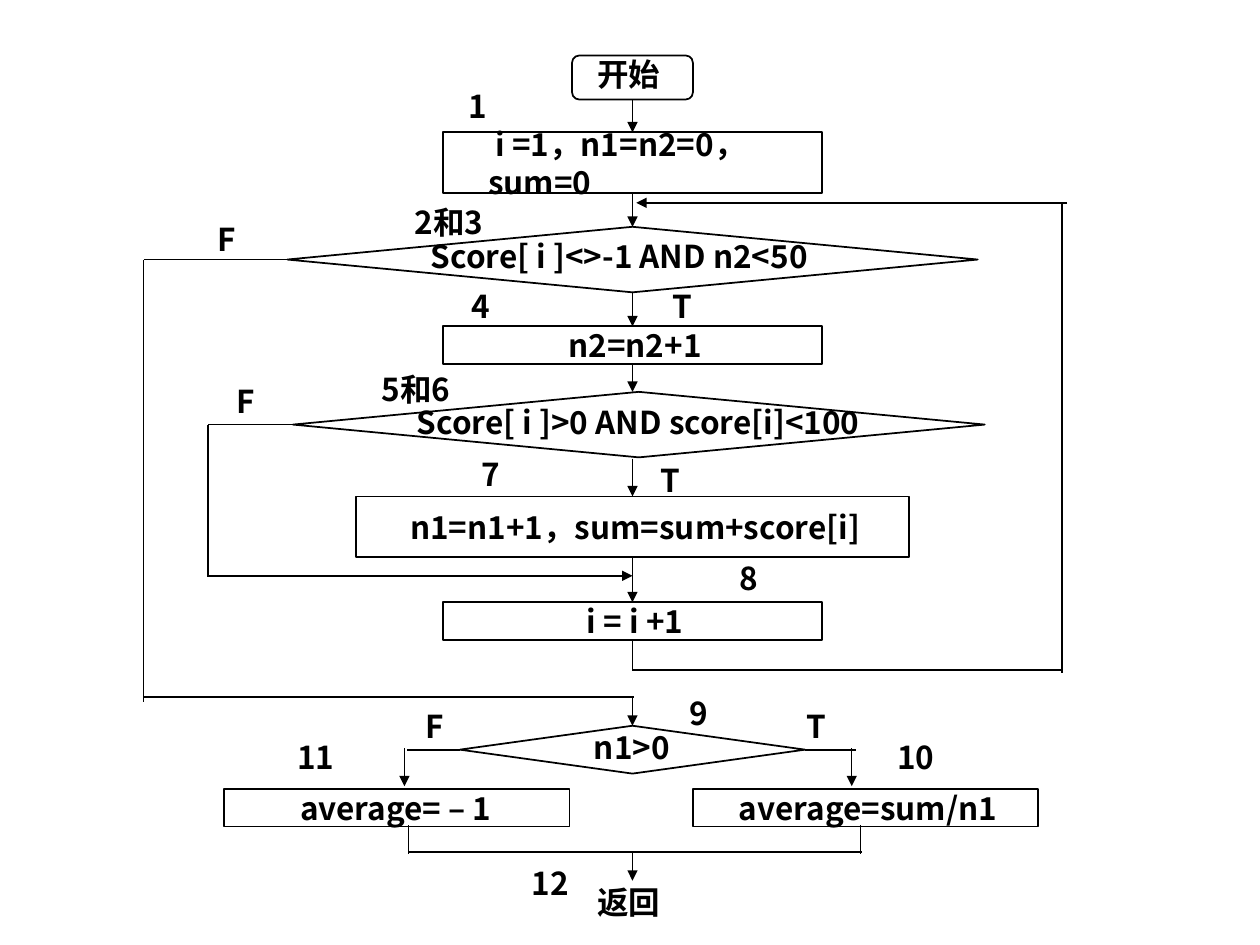
from lxml import etree
from pptx import Presentation
from pptx.dml.color import RGBColor
from pptx.enum.shapes import MSO_CONNECTOR, MSO_SHAPE
from pptx.enum.text import MSO_ANCHOR, PP_ALIGN
from pptx.oxml.ns import qn
from pptx.util import Inches, Pt

RECT, DECISION = MSO_SHAPE.RECTANGLE, MSO_SHAPE.FLOWCHART_DECISION
TERMINAL = MSO_SHAPE.FLOWCHART_ALTERNATE_PROCESS
STRAIGHT = MSO_CONNECTOR.STRAIGHT
LEFT_AL, CENTER, JUSTIFY = PP_ALIGN.LEFT, PP_ALIGN.CENTER, PP_ALIGN.JUSTIFY
TOP_ANCHOR, MIDDLE = MSO_ANCHOR.TOP, MSO_ANCHOR.MIDDLE
TOP, LEFT, BOTTOM, RIGHT = range(4)

THEME = {
    "font": "Noto Sans CJK SC", "size": 18,
    "ink": RGBColor(0, 0, 0), "paper": RGBColor(255, 255, 255),
    "outline": 1, "thin": 0.75,
}

SPINE = 5.02           # x of the main flow
LOOP_X = 8.43          # return path of the loop
EXIT_X = 1.14          # path out of the loop
SKIP_X = 1.65          # path around the summing step
JOIN_Y = 6.76          # where both averages meet

# name: shape, centre x, top, width, height
NODES = {
    "start": (TERMINAL, SPINE, 0.44, 0.96, 0.35),
    "init": (RECT, SPINE, 1.05, 3.01, 0.48),
    "more scores": (DECISION, SPINE, 1.8, 5.48, 0.52),
    "count all": (RECT, SPINE, 2.59, 3.01, 0.3),
    "add score": (RECT, SPINE, 3.94, 4.39, 0.48),
    "valid score": (DECISION, 5.07, 3.11, 5.49, 0.52),
    "next": (RECT, SPINE, 4.78, 3.01, 0.3),
    "any valid": (DECISION, SPINE, 5.76, 2.74, 0.38),
    "average": (RECT, 6.87, 6.26, 2.74, 0.3),
    "no average": (RECT, 3.15, 6.26, 2.74, 0.3),
}

# name: text, alignment, anchor, left inset
NODE_TEXT = {
    "init": (" i =1，n1=n2=0，sum=0", LEFT_AL, MIDDLE, 0.36),
    "count all": ("n2=n2+1", CENTER, TOP_ANCHOR, 0.04),
    "add score": ("n1=n1+1，sum=sum+score[i]", CENTER, MIDDLE, 0.04),
    "next": ("i = i +1", CENTER, TOP_ANCHOR, 0.04),
    "average": ("average=sum/n1", CENTER, TOP_ANCHOR, 0.04),
    "no average": ("average= – 1 ", CENTER, TOP_ANCHOR, 0.04),
}

# text, left, top, width, height, alignment
CAPTIONS = [
    ("开始", 4.74, 0.44, 0.98, 0.27, JUSTIFY),
    ("Score[ i ]<>-1 AND n2<50", 3.42, 1.88, 4.05, 0.31, JUSTIFY),
    ("Score[ i ]>0 AND score[i]<100", 3.31, 3.2, 4.66, 0.24, JUSTIFY),
    ("n1>0", 4.33, 5.78, 1.37, 0.33, CENTER),
    ("返回", 4.74, 7.01, 0.98, 0.27, JUSTIFY),
    ("2和3", 3.29, 1.61, 1.17, 0.25, JUSTIFY),
    ("5和6", 3.03, 2.94, 0.77, 0.25, JUSTIFY),
]

# Branch letters and step numbers: text, left, top
MARKS = [
    ("F", 1.73, 1.75), ("F", 3.38, 5.61), ("F", 1.88, 3.03),
    ("T", 5.34, 2.28), ("T", 5.24, 3.66), ("T", 6.4, 5.61),
    ("1", 3.72, 0.69), ("4", 3.74, 2.28), ("7", 3.82, 3.61),
    ("8", 5.87, 4.44), ("9", 5.47, 5.51), ("10", 7.12, 5.86),
    ("11", 2.36, 5.86), ("12", 4.22, 6.86),
]
MARK_SIZE = (0.56, 0.27)

# An end is a point (x, y) or a node side (name, side)
THIN_ARROWS = [
    (("start", BOTTOM), ("init", TOP)),
    (("init", BOTTOM), ("more scores", TOP)),
    (("more scores", BOTTOM), ("count all", TOP)),
    (("count all", BOTTOM), (SPINE, 3.11)),
    ((SPINE, 3.64), ("add score", TOP)),
    (("add score", BOTTOM), ("next", TOP)),
    ((SPINE, 5.53), ("any valid", TOP)),
    ((3.21, 5.94), (3.21, 6.24)),
    ((6.76, 5.94), (6.76, 6.24)),
    ((SPINE, JOIN_Y), (SPINE, 6.99)),
]
THIN_LINES = [
    (("next", BOTTOM), (SPINE, 5.32)),
    ((3.24, 6.55), (3.24, 6.78)),
    ((6.83, 6.55), (6.83, 6.78)),
]
PATH_ARROWS = [
    ((8.47, 1.61), (5.05, 1.61)),
    ((SKIP_X, 4.57), (SPINE, 4.57)),
]
PATH_LINES = [
    ((SPINE, 5.32), (8.44, 5.32)),
    ((LOOP_X, 1.61), (LOOP_X, 5.34)),
    (("valid score", LEFT), (SKIP_X, 3.37)),
    ((SKIP_X, 3.37), (SKIP_X, 4.58)),
    (("more scores", LEFT), (EXIT_X, 2.06)),
    ((EXIT_X, 2.06), (EXIT_X, 5.57)),
    ((EXIT_X, 5.53), (5.03, 5.53)),
    (("any valid", LEFT), (3.23, 5.95)),
    (("any valid", RIGHT), (6.79, 5.95)),
    ((3.24, JOIN_Y), (6.84, JOIN_Y)),
]


def write(frame, text, align, anchor=TOP_ANCHOR, inset=0):
    frame.word_wrap = True
    frame.vertical_anchor = anchor
    frame.margin_left = Inches(inset)
    frame.margin_top = frame.margin_right = frame.margin_bottom = 0
    frame.text = text
    paragraph = frame.paragraphs[0]
    paragraph.alignment = align
    font = paragraph.runs[0].font
    font.name, font.size, font.bold = THEME["font"], Pt(THEME["size"]), True
    font.color.rgb = THEME["ink"]
    # East Asian typeface follows the Latin one
    latin = font._element.find(qn("a:latin"))
    east_asian = etree.Element(qn("a:ea"), typeface=THEME["font"])
    latin.addnext(east_asian)


def add_node(slide, kind, center, top, width, height):
    node = slide.shapes.add_shape(
        kind, *map(Inches, (center - width / 2, top, width, height)))
    node.shadow.inherit = False
    node.fill.solid()
    node.fill.fore_color.rgb = THEME["paper"]
    node.line.color.rgb = THEME["ink"]
    node.line.width = Pt(THEME["outline"])
    return node


def add_caption(slide, text, left, top, width, height, align):
    box = slide.shapes.add_textbox(*map(Inches, (left, top, width, height)))
    write(box.text_frame, text, align)


def add_flow(slide, nodes, begin, end, width, arrow):
    points = [(0, 0) if p[0] in nodes else p for p in (begin, end)]
    flow = slide.shapes.add_connector(
        STRAIGHT, *(Inches(v) for point in points for v in point))
    for (place, side), join in ((begin, flow.begin_connect),
                                (end, flow.end_connect)):
        if place in nodes:
            join(nodes[place], side)
    flow.line.color.rgb = THEME["ink"]
    flow.line.width = Pt(width)
    if arrow:
        etree.SubElement(flow.line._get_or_add_ln(), qn("a:tailEnd"),
                         type="triangle", w="med", len="med")
    etree.SubElement(flow._element.spPr, qn("a:effectLst"))


def main():
    prs = Presentation()
    prs.slide_width, prs.slide_height = Inches(10), Inches(7.5)
    slide = prs.slides.add_slide(prs.slide_layouts[6])

    # Steps and decisions
    nodes = {name: add_node(slide, *place) for name, place in NODES.items()}
    for name, content in NODE_TEXT.items():
        write(nodes[name].text_frame, *content)

    # Flow lines
    for flows, width, arrow in ((THIN_ARROWS, THEME["thin"], True),
                                (THIN_LINES, THEME["thin"], False),
                                (PATH_ARROWS, THEME["outline"], True),
                                (PATH_LINES, THEME["outline"], False)):
        for begin, end in flows:
            add_flow(slide, nodes, begin, end, width, arrow)

    # Captions, branch letters and step numbers
    for caption in CAPTIONS:
        add_caption(slide, *caption)
    for text, left, top in MARKS:
        add_caption(slide, text, left, top, *MARK_SIZE, JUSTIFY)

    prs.save("out.pptx")


if __name__ == "__main__":
    main()
